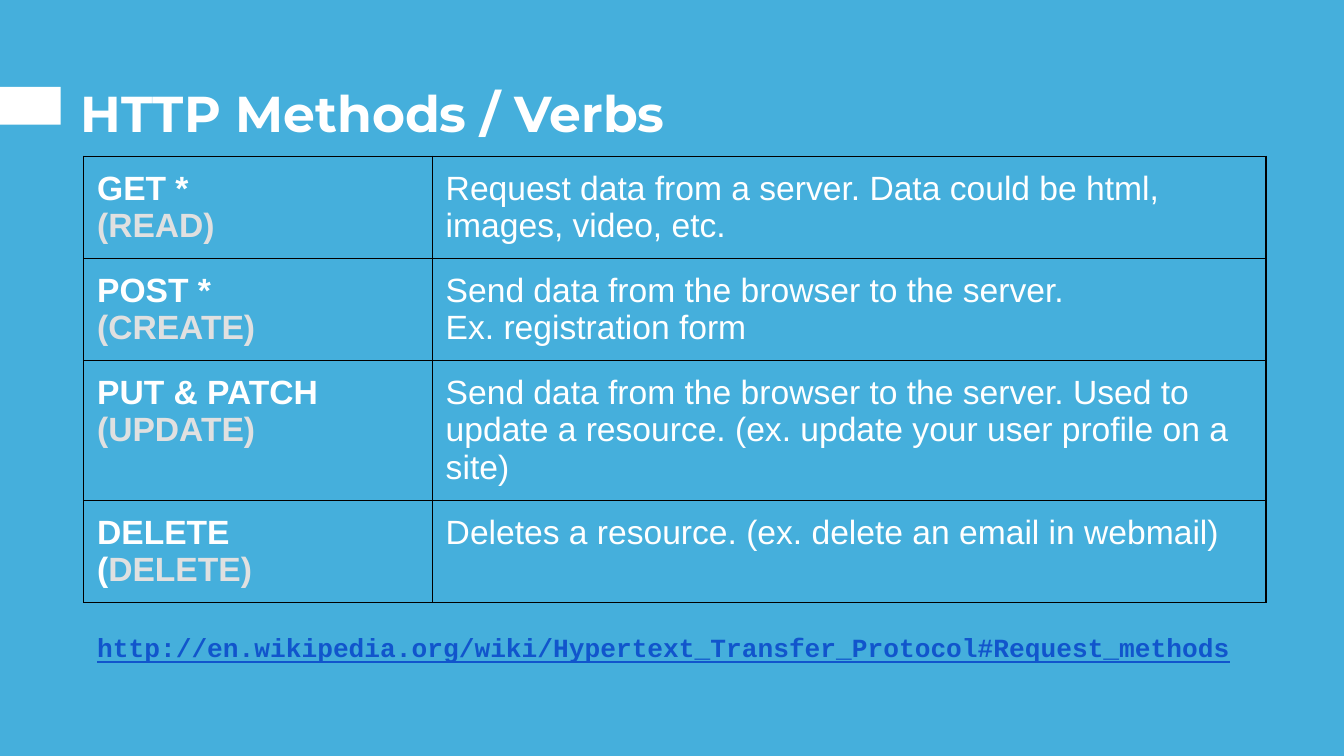
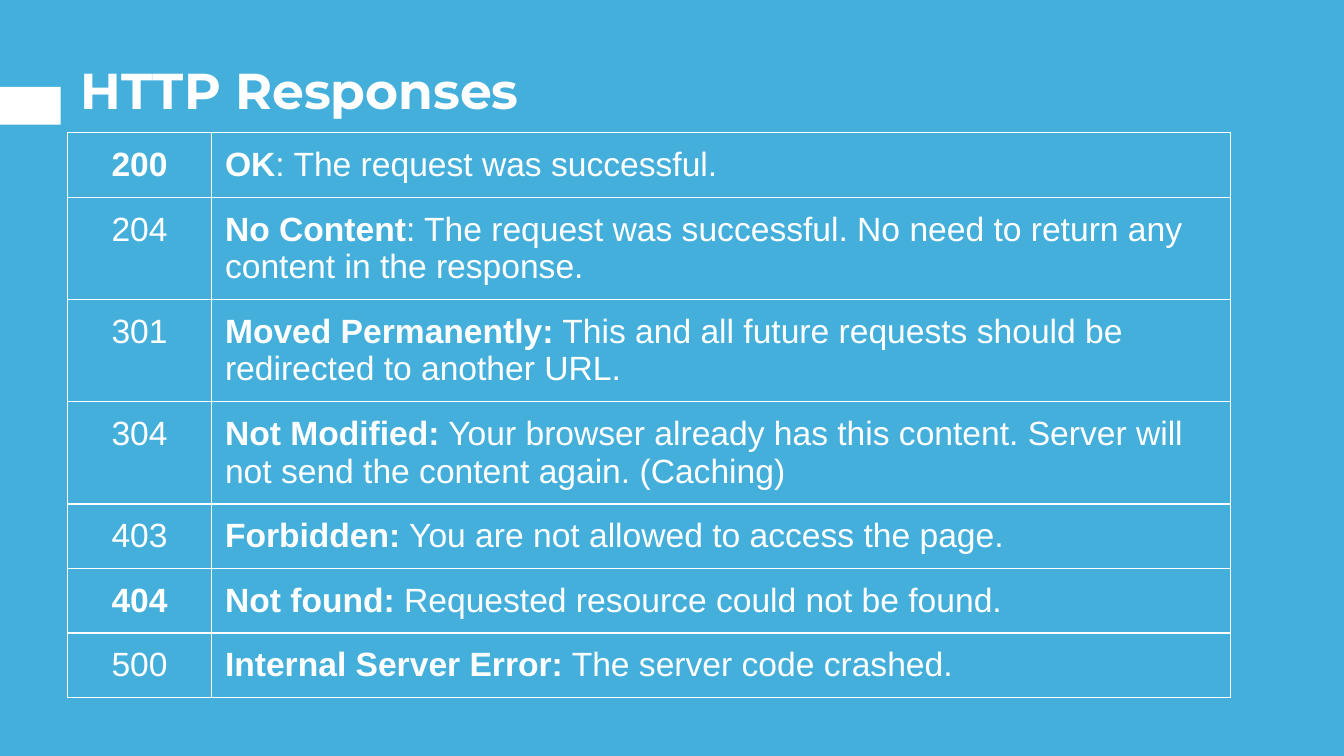
from pptx import Presentation
from pptx.dml.color import RGBColor
from pptx.enum.shapes import MSO_SHAPE
from pptx.enum.text import MSO_ANCHOR, MSO_AUTO_SIZE, PP_ALIGN
from pptx.oxml import parse_xml
from pptx.oxml.ns import nsdecls
from pptx.util import Pt

BLUE, WHITE, BLACK = "45AFDC", "FFFFFF", "000000"
PALE, LINK = "E0E0E0", "1155CC"
INSET = 9.6
LINE_HEIGHT = 26.9

METHODS = [
    ("GET *\n", "(READ)",
     "Request data from a server. Data could be html, images, video, etc.", 2),
    ("POST *\n", "(CREATE)",
     "Send data from the browser to the server.\nEx. registration form", 2),
    ("PUT & PATCH\n", "(UPDATE)",
     "Send data from the browser to the server. Used to update a resource. "
     "(ex. update your user profile on a site)", 3),
    ("DELETE\n(", "DELETE)",
     "Deletes a resource. (ex. delete an email in webmail)", 2),
]
METHODS_URL = "http://en.wikipedia.org/wiki/Hypertext_Transfer_Protocol#Request_methods"

RESPONSES = [
    ("200", "OK", ": The request was successful.", 1),
    ("204", "No Content", ": The request was successful. No need to return any "
     "content in the response.", 2),
    ("301", "Moved Permanently:", " This and all future requests should be "
     "redirected to another URL.", 2),
    ("304", "Not Modified:", " Your browser already has this content. Server will "
     "not send the content again. (Caching)", 2),
    ("403", "Forbidden:", " You are not allowed to access the page.", 1),
    ("404", "Not found:", " Requested resource could not be found.", 1),
    ("500", "Internal Server Error:", " The server code crashed.", 1),
]
KEY_CODES = {"200", "404"}


def rgb(color):
    return RGBColor.from_string(color)


def write(paragraph, text, size=24, font="Arial", color=WHITE, bold=False,
          underline=False):
    """Append text to the paragraph; a newline becomes a line break."""
    for index, line in enumerate(text.split("\n")):
        if index:
            paragraph.add_line_break()
        if line:
            run = paragraph.add_run()
            run.text = line
            run.font.size = Pt(size)
            run.font.name = font
            run.font.color.rgb = rgb(color)
            run.font.bold = bold
            run.font.underline = underline


def place_placeholder(placeholder, box, anchor):
    """Move a placeholder to box and return its first paragraph."""
    placeholder.left, placeholder.top, placeholder.width, placeholder.height = map(Pt, box)
    frame = placeholder.text_frame
    frame.word_wrap = True
    frame.auto_size = MSO_AUTO_SIZE.NONE
    frame.vertical_anchor = anchor
    frame.margin_left = frame.margin_right = Pt(INSET)
    frame.margin_top = frame.margin_bottom = Pt(INSET)
    paragraph = frame.paragraphs[0]
    paragraph.alignment = PP_ALIGN.LEFT
    paragraph.space_before = Pt(0)
    return paragraph


def add_title(slide, text, top):
    paragraph = place_placeholder(slide.shapes.title, (48, top, 875.5, 90),
                                  MSO_ANCHOR.BOTTOM)
    write(paragraph, text, size=36, font="Montserrat", bold=True)


def add_link_line(slide, text, box):
    paragraph = place_placeholder(slide.placeholders[1], box, MSO_ANCHOR.TOP)
    properties = paragraph._p.get_or_add_pPr()
    properties.set("marL", "0")
    properties.set("indent", "0")
    properties.append(parse_xml(f"<a:buNone {nsdecls('a')}/>"))
    write(paragraph, text, size=18.7, font="Courier New", color=LINK,
          bold=True, underline=True)


def set_borders(cell, color):
    properties = cell._tc.get_or_add_tcPr()
    for position, side in enumerate(("lnL", "lnR", "lnT", "lnB")):
        properties.insert(position, parse_xml(
            f'<a:{side} {nsdecls("a")} w="{Pt(1)}"><a:solidFill>'
            f'<a:srgbClr val="{color}"/></a:solidFill></a:{side}>'))


def add_grid(slide, left, top, column_widths, line_counts, border):
    """Add an unfilled table whose rows fit the given numbers of text lines."""
    heights = [count * LINE_HEIGHT + 2 * INSET for count in line_counts]
    table = slide.shapes.add_table(
        len(heights), len(column_widths), Pt(left), Pt(top),
        Pt(sum(column_widths)), Pt(sum(heights))).table
    table.first_row = table.horz_banding = False
    for column, width in zip(table.columns, column_widths):
        column.width = Pt(width)
    for row, height in zip(table.rows, heights):
        row.height = Pt(height)
    for cell in table.iter_cells():
        cell.fill.background()
        cell.margin_left = cell.margin_right = Pt(INSET)
        cell.margin_top = cell.margin_bottom = Pt(INSET)
        set_borders(cell, border)
    return table


def first_paragraph(table, row, column):
    return table.cell(row, column).text_frame.paragraphs[0]


def style_master(master, slide):
    """Give the master its background and the white tab beside the titles."""
    master.background.fill.solid()
    master.background.fill.fore_color.rgb = rgb(BLUE)
    tab = slide.shapes.add_shape(MSO_SHAPE.RECTANGLE, Pt(0), Pt(62), Pt(43.4), Pt(27))
    tab.shadow.inherit = False
    tab.fill.solid()
    tab.fill.fore_color.rgb = rgb(WHITE)
    tab.line.fill.background()
    tab.element.nvSpPr.cNvPr.set("id", "20")
    master.shapes.element.append(tab.element)


def build_methods(slide):
    add_title(slide, "HTTP Methods / Verbs", 21.6)
    add_link_line(slide, METHODS_URL, (59.8, 441.6, 864, 48))
    table = add_grid(slide, 59.8, 111.6, (249, 595.5),
                     [lines for *_, lines in METHODS], BLACK)
    for row, (verb, action, description, _) in enumerate(METHODS):
        name = first_paragraph(table, row, 0)
        write(name, verb, bold=True)
        write(name, action, bold=True, color=PALE)
        write(first_paragraph(table, row, 1), description)


def build_responses(slide):
    add_title(slide, "HTTP Responses", 4.9)
    table = add_grid(slide, 48.2, 94.9, (103, 727.8),
                     [lines for *_, lines in RESPONSES], WHITE)
    for row, (code, status, meaning, _) in enumerate(RESPONSES):
        number = first_paragraph(table, row, 0)
        number.alignment = PP_ALIGN.CENTER
        write(number, code, bold=code in KEY_CODES)
        explanation = first_paragraph(table, row, 1)
        write(explanation, status, bold=True)
        write(explanation, meaning)


def main():
    deck = Presentation()
    deck.slide_width, deck.slide_height = Pt(960), Pt(540)
    layouts = deck.slide_layouts
    methods = deck.slides.add_slide(layouts.get_by_name("Title and Content"))
    responses = deck.slides.add_slide(layouts.get_by_name("Title Only"))
    style_master(deck.slide_master, methods)
    build_methods(methods)
    build_responses(responses)
    deck.save("out.pptx")


if __name__ == "__main__":
    main()
